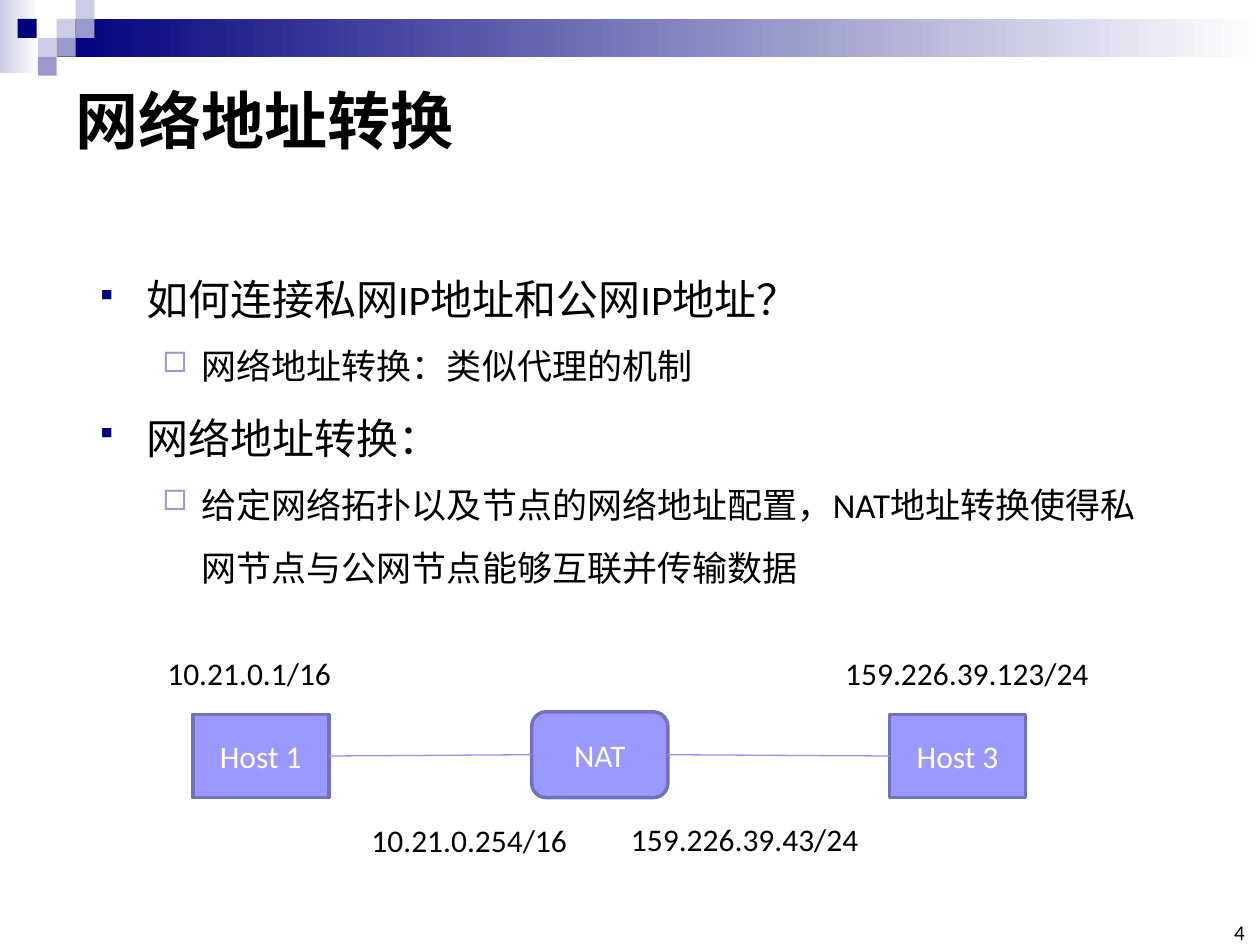
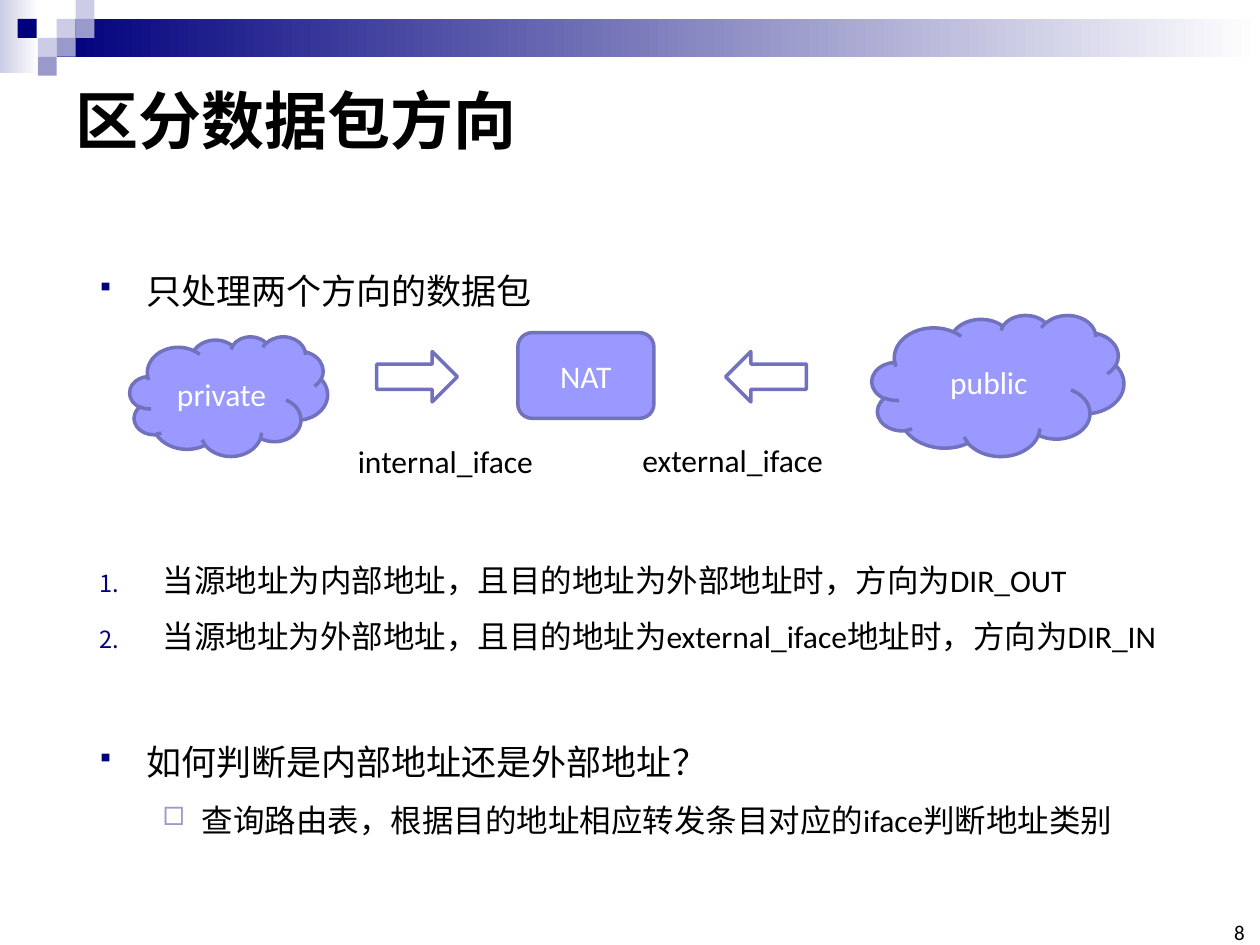
from lxml import etree
from pptx import Presentation
from pptx.dml.color import RGBColor
from pptx.enum.shapes import MSO_CONNECTOR, MSO_SHAPE
from pptx.enum.text import MSO_ANCHOR, MSO_AUTO_SIZE, PP_ALIGN
from pptx.oxml.ns import qn
from pptx.util import Inches, Pt

RECT = MSO_SHAPE.RECTANGLE
ROUNDED = MSO_SHAPE.ROUNDED_RECTANGLE
CLOUD = MSO_SHAPE.CLOUD
RIGHT_ARROW = MSO_SHAPE.RIGHT_ARROW
LEFT_ARROW = MSO_SHAPE.LEFT_ARROW
STRAIGHT = MSO_CONNECTOR.STRAIGHT
LEFT, CENTER, RIGHT = PP_ALIGN.LEFT, PP_ALIGN.CENTER, PP_ALIGN.RIGHT
MIDDLE, BOTTOM = MSO_ANCHOR.MIDDLE, MSO_ANCHOR.BOTTOM
NO_AUTOFIT = MSO_AUTO_SIZE.NONE

FONT = "Calibri"
LINE_SPACING = 1.5
LINE_HEIGHT = 1.22 * LINE_SPACING  # height of a body line per point of type
LEFT_SITE, RIGHT_SITE = 1, 3  # connection sites of a rectangle

COLORS = {
    "navy": "00007D",
    "lavender": "9999CC",
    "pale": "CCCCE6",
    "node": "9999FF",
    "node_edge": "7171BD",
    "link": "9393FC",
    "text": "000000",
    "white": "FFFFFF",
}

# Kind of list item: indent level, left margin, hanging indent, bullet
# colour, bullet size in percent, Wingdings character (None means numbered)
LIST_STYLES = {
    "point": (0, 0.37, 0.37, "navy", 75, "§"),
    "step": (0, 0.5, 0.5, "navy", 75, None),
    "detail": (1, 0.81, 0.31, "lavender", 80, "¨"),
}


def color(name):
    return RGBColor.from_string(COLORS[name])


def box(left, top, width, height):
    return [Inches(length) for length in (left, top, width, height)]


def place(shape, left, top, width, height):
    shape.left, shape.top, shape.width, shape.height = box(left, top, width, height)


def style_paragraph(paragraph, size, ink="text", align=LEFT, bold=False):
    paragraph.alignment = align
    font = paragraph.font
    font.name, font.size, font.bold = FONT, Pt(size), bold
    font.color.rgb = color(ink)


# Header band, shared through the layout
def add_band_part(slide, layout, position, at, fill, fade=False):
    part = slide.shapes.add_shape(RECT, *box(*at))
    part.shadow.inherit = False
    part.line.fill.background()
    if fade:
        part.fill.gradient()
        part.fill.gradient_angle = 0
        for stop, name in zip(part.fill.gradient_stops, (fill, "white")):
            stop.color.rgb = color(name)
    else:
        part.fill.solid()
        part.fill.fore_color.rgb = color(fill)
    layout.shapes.element.insert(2 + position, part.element)


def add_header_band(slide, layout):
    fades = [((0, 0, 0.31, 0.58), "pale"), ((0.45, 0.15, 9.55, 0.3), "navy")]
    squares = [
        (0.45, 0.15, "pale"), (0.6, 0, "pale"), (0.6, 0.15, "lavender"),
        (0.3, 0.3, "pale"), (0.14, 0.15, "navy"), (0.45, 0.3, "lavender"),
        (0.3, 0.45, "lavender"),
    ]
    for position, (at, fill) in enumerate(fades):
        add_band_part(slide, layout, position, at, fill, fade=True)
    for position, (left, top, fill) in enumerate(squares, len(fades)):
        add_band_part(slide, layout, position, (left, top, 0.15, 0.15), fill)


# Title, list and slide number
def add_content_slide(prs, layout, title, number, body_height):
    slide = prs.slides.add_slide(layout)
    heading, body = slide.placeholders
    place(heading, 0.5, 0.5, 9, 0.89)
    place(body, 0.69, 1.92, 8.62, body_height)
    heading.text_frame.text = title
    heading.text_frame.vertical_anchor = MIDDLE
    for placeholder in (heading, body):
        placeholder.text_frame.auto_size = NO_AUTOFIT
    style_paragraph(heading.text_frame.paragraphs[0], 36, bold=True)

    page = slide.shapes.add_textbox(*box(9.65, 7.33, 0.23, 0.17)).text_frame
    page.margin_left = page.margin_right = page.margin_top = page.margin_bottom = 0
    page.vertical_anchor = BOTTOM
    page.word_wrap = True
    page.text = str(number)
    style_paragraph(page.paragraphs[0], 12, align=RIGHT)
    return slide, body


def set_bullet(paragraph, kind):
    level, margin, hanging, ink, percent, char = LIST_STYLES[kind]
    paragraph.level = level
    props = paragraph._p.get_or_add_pPr()
    props.set("marL", str(Inches(margin)))
    props.set("indent", str(-Inches(hanging)))
    tint = etree.SubElement(props, qn("a:buClr"))
    etree.SubElement(tint, qn("a:srgbClr"), val=COLORS[ink])
    etree.SubElement(props, qn("a:buSzPct"), val=str(percent * 1000))
    if char:
        etree.SubElement(props, qn("a:buFont"), typeface="Wingdings", charset="2")
        etree.SubElement(props, qn("a:buChar"), char=char)
    else:
        etree.SubElement(props, qn("a:buFont"), typeface=FONT)
        etree.SubElement(props, qn("a:buAutoNum"), type="arabicPeriod")


def fill_list(body, items):
    """Each item is its kind, type size, gap above in points and text."""
    frame = body.text_frame
    for index, (kind, size, gap, text) in enumerate(items):
        paragraph = frame.add_paragraph() if index else frame.paragraphs[0]
        paragraph.text = text
        set_bullet(paragraph, kind)
        paragraph.line_spacing = LINE_SPACING
        paragraph.space_before = Pt(gap)
        paragraph.space_after = Pt(0)
        style_paragraph(paragraph, size)


# Diagram parts
def add_outlined(slide, outline, at):
    shape = slide.shapes.add_shape(outline, *box(*at))
    shape.shadow.inherit = False
    shape.fill.background()
    shape.line.color.rgb = color("node_edge")
    shape.line.width = Pt(2)
    return shape


def add_node(slide, outline, at, text):
    node = add_outlined(slide, outline, at)
    node.fill.solid()
    node.fill.fore_color.rgb = color("node")
    node.text_frame.text = text
    node.text_frame.vertical_anchor = MIDDLE
    style_paragraph(node.text_frame.paragraphs[0], 18, "white", CENTER)
    return node


def add_label(slide, left, top, width, text, align=LEFT):
    frame = slide.shapes.add_textbox(*box(left, top, width, 0.4)).text_frame
    frame.word_wrap = False
    frame.text = text
    style_paragraph(frame.paragraphs[0], 18, align=align)


def add_link(slide, start, end):
    link = slide.shapes.add_connector(STRAIGHT, 0, 0, 0, 0)
    link.begin_connect(start, RIGHT_SITE)
    link.end_connect(end, LEFT_SITE)
    link.line.color.rgb = color("link")
    link.line.width = Pt(0.75)
    etree.SubElement(link.element.spPr, qn("a:effectLst"))


def build_translation_slide(prs, layout):
    slide, body = add_content_slide(prs, layout, "网络地址转换", 4, 3.15)
    add_header_band(slide, layout)
    fill_list(body, [
        ("point", 24, 0, "如何连接私网IP地址和公网IP地址？"),
        ("detail", 20, 0, "网络地址转换：类似代理的机制"),
        ("point", 24, 0, "网络地址转换："),
        ("detail", 20, 0, "给定网络拓扑以及节点的网络地址配置，"
                          "NAT地址转换使得私网节点与公网节点能够互联并传输数据"),
    ])

    # Two hosts joined by the NAT
    private_host = add_node(slide, RECT, (1.53, 5.67, 1.08, 0.66), "Host 1")
    public_host = add_node(slide, RECT, (7.06, 5.67, 1.08, 0.66), "Host 3")
    nat = add_node(slide, ROUNDED, (4.22, 5.65, 1.08, 0.68), "NAT")
    add_link(slide, private_host, nat)
    add_link(slide, nat, public_host)
    for left, top, width, address in [
        (1.23, 5.14, 1.51, "10.21.0.1/16"),
        (6.61, 5.14, 2.15, "159.226.39.123/24"),
        (4.91, 6.46, 2.03, "159.226.39.43/24"),
        (2.85, 6.47, 1.77, "10.21.0.254/16"),
    ]:
        add_label(slide, left, top, width, address)


def build_direction_slide(prs, layout):
    slide, body = add_content_slide(prs, layout, "区分数据包方向", 8, 4.84)
    diagram_gap = 3 * 24 * LINE_HEIGHT
    section_gap = 20 * LINE_HEIGHT
    fill_list(body, [
        ("point", 20, 0, "只处理两个方向的数据包"),
        ("step", 18, diagram_gap,
         "当源地址为内部地址，且目的地址为外部地址时，方向为DIR_OUT"),
        ("step", 18, 0,
         "当源地址为外部地址，且目的地址为external_iface地址时，方向为DIR_IN"),
        ("point", 20, section_gap, "如何判断是内部地址还是外部地址？"),
        ("detail", 18, 0, "查询路由表，根据目的地址相应转发条目对应的iface判断地址类别"),
    ])

    # Packets reach the NAT from both networks
    add_node(slide, ROUNDED, (4.11, 2.64, 1.08, 0.68), "NAT")
    add_label(slide, 4.99, 3.45, 1.65, "external_iface", CENTER)
    add_label(slide, 2.73, 3.46, 1.61, "internal_iface", CENTER)
    add_outlined(slide, RIGHT_ARROW, (2.99, 2.79, 0.64, 0.4))
    add_outlined(slide, LEFT_ARROW, (5.76, 2.79, 0.64, 0.4))
    add_node(slide, CLOUD, (1.03, 2.67, 1.57, 0.95), "private")
    add_node(slide, CLOUD, (6.92, 2.5, 2, 1.12), "public")


def main():
    prs = Presentation()
    prs.slide_width, prs.slide_height = Inches(10), Inches(7.5)
    layout = prs.slide_layouts.get_by_name("Title and Content")
    build_translation_slide(prs, layout)
    build_direction_slide(prs, layout)
    prs.save("out.pptx")


if __name__ == "__main__":
    main()
